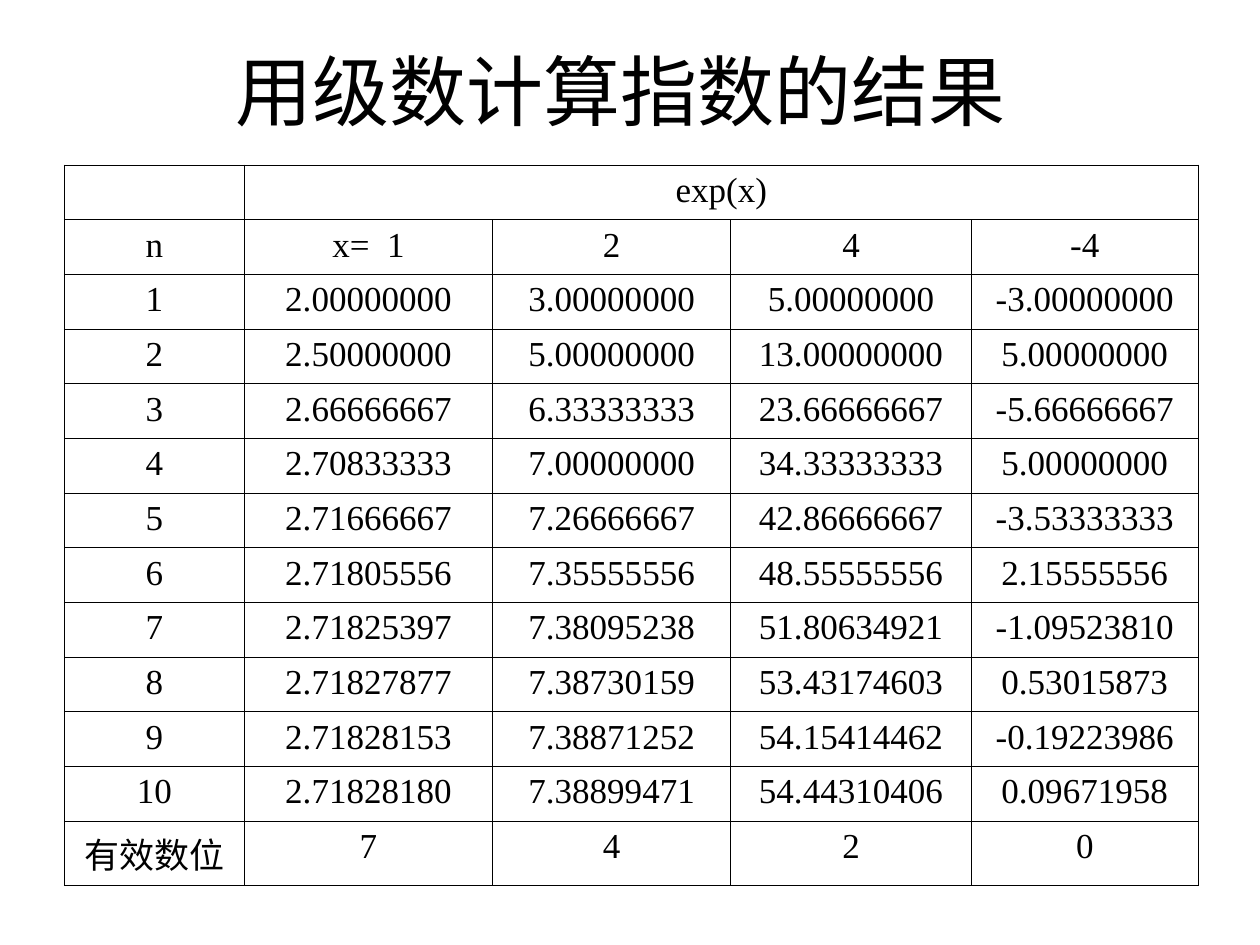
"""Build a slide tabulating Taylor-series results for exp(x)."""
from dataclasses import dataclass
from math import factorial

from pptx import Presentation
from pptx import util as u
from pptx.dml import color
from pptx.enum import text
from pptx.oxml import ns, xmlchemy

BLACK = "000000"
XS = (1, 2, 4, -4)
TERMS = range(1, 11)
COLS = (1.43, 1.97, 1.89, 1.91, 1.8)
ROW_H, LAST_ROW_H = 0.425, 0.51


@dataclass(frozen=True)
class Style:
    """Font settings of a piece of text."""
    name: str
    size: float


TITLE = Style("Arial", 44)
BODY = Style("Times New Roman", 20)


def rgb(value: str) -> color.RGBColor:
    """Turn a hex string into a colour."""
    return color.RGBColor.from_string(value)


def write(tf, words: str, style: Style) -> None:
    """Put one centred paragraph into a text frame."""
    p = tf.paragraphs[0]
    p.alignment = text.PP_ALIGN.CENTER
    r = p.add_run()
    r.text = words
    for key, value in {"name": style.name, "size": u.Pt(style.size)}.items():
        setattr(r.font, key, value)
    r.font.color.rgb = rgb(BLACK)


def add_title(s, words: str) -> None:
    """Add the slide title."""
    sp = s.shapes.add_textbox(*map(u.Inches, (0.43, 0.28, 9, 0.87)))
    tf = sp.text_frame
    tf.word_wrap = True
    tf.vertical_anchor = text.MSO_ANCHOR.MIDDLE
    write(tf, words, TITLE)


def add_borders(cell, hex_color: str, width: float) -> None:
    """Draw a line on all four sides of a cell."""
    tc_pr = cell._tc.get_or_add_tcPr()
    for side in ("lnL", "lnR", "lnT", "lnB"):
        ln = xmlchemy.OxmlElement(f"a:{side}")
        ln.set("w", str(u.Pt(width)))
        fill = xmlchemy.OxmlElement("a:solidFill")
        clr = xmlchemy.OxmlElement("a:srgbClr")
        clr.set("val", hex_color)
        fill.append(clr)
        ln.append(fill)
        tc_pr.append(ln)


def exp_series(x: int, n: int) -> float:
    """Sum the series of exp(x) up to the n-th power."""
    return sum(x**k / factorial(k) for k in range(n + 1))


def table_rows() -> list[list[str]]:
    """Return the wording of every table row."""
    return [
        ["", "exp(x)", "", "", ""],
        ["n", "x=  1", "2", "4", "-4"],
        *([str(n)] + [f"{exp_series(x, n):.8f}" for x in XS] for n in TERMS),
        ["有效数位", "7", "4", "2", "0"],
    ]


def add_results(s, rows: list[list[str]]) -> None:
    """Add the bordered table of results."""
    heights = [ROW_H] * (len(rows) - 1) + [LAST_ROW_H]
    box = map(u.Inches, (0.51, 1.31, sum(COLS), sum(heights)))
    tbl = s.shapes.add_table(len(rows), len(COLS), *box).table
    tbl.first_row = tbl.horz_banding = False
    for col, width in zip(tbl.columns, COLS):
        col.width = u.Inches(width)
    for row, height, words in zip(tbl.rows, heights, rows):
        row.height = u.Inches(height)
        for cell, word in zip(row.cells, words):
            add_borders(cell, BLACK, 0.45)
            cell.fill.background()
            if word:
                write(cell.text_frame, word, BODY)
    tbl.cell(0, 1).merge(tbl.cell(0, len(COLS) - 1))


def main() -> None:
    """Build and save the presentation."""
    prs = Presentation()
    prs.slide_width, prs.slide_height = u.Inches(10), u.Inches(7.5)
    s = prs.slides.add_slide(prs.slide_layouts[6])
    add_title(s, "用级数计算指数的结果")
    add_results(s, table_rows())
    prs.save("out.pptx")


if __name__ == "__main__":
    main()
